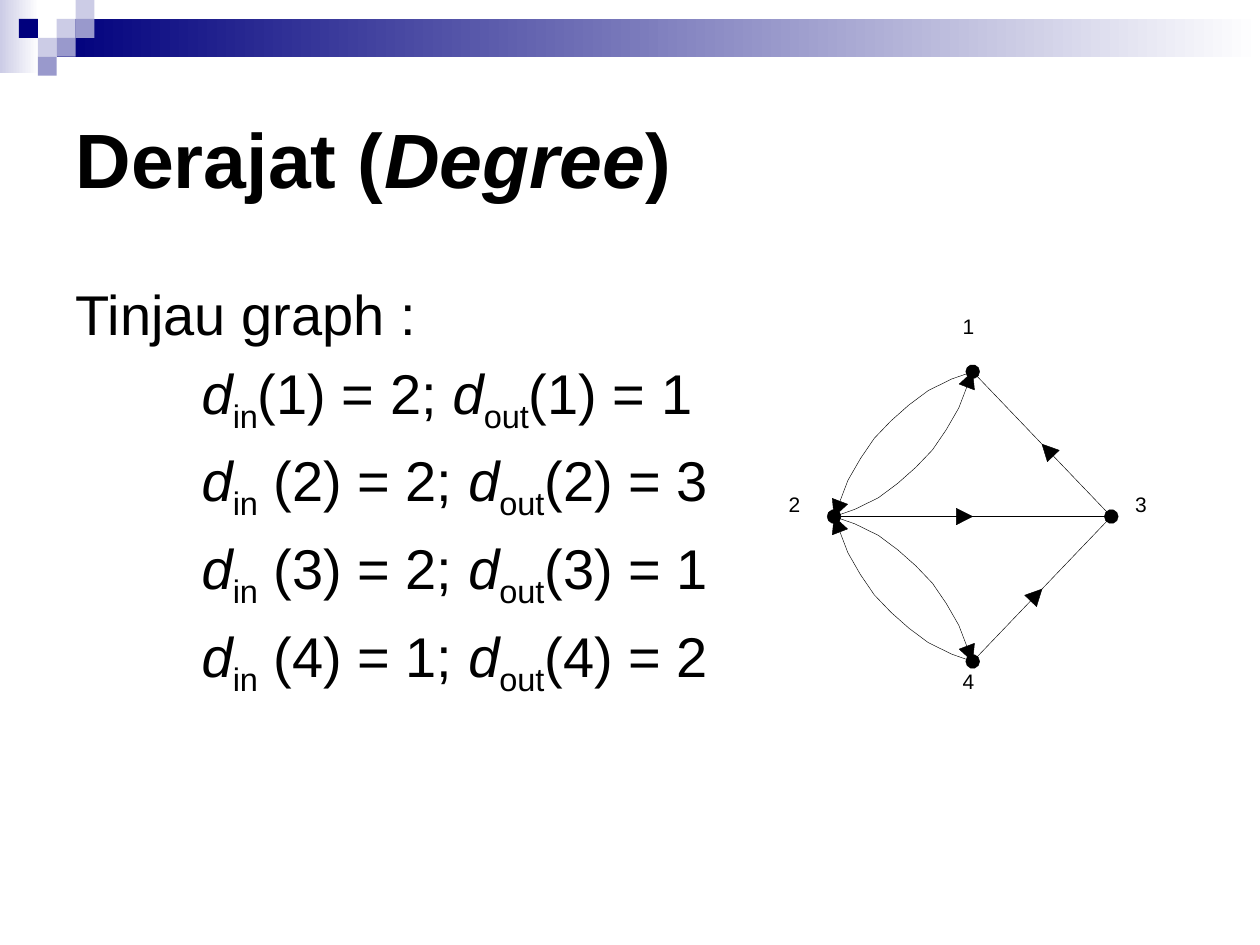
from math import cos, hypot, pi, sin

from pptx import Presentation
from pptx.dml.color import RGBColor
from pptx.enum.shapes import MSO_CONNECTOR as CONN, MSO_SHAPE as SHAPE
from pptx.enum.text import MSO_ANCHOR as ANCHOR, MSO_AUTO_SIZE as AUTO, PP_ALIGN as ALIGN
from pptx.oxml.ns import qn
from pptx.util import Inches, Pt

WIDTH, HEIGHT, CELL = 10, 7.5, 0.15
NAVY, LILAC, PALE, WHITE, BLACK = "00007D", "9999CC", "CCCCE6", "FFFFFF", "000000"
CENTER_X, CENTER_Y, RADIUS_X, RADIUS_Y = 7.72, 4.1, 1.1, 1.15
BANDS = [(0, 0, 0.31, 0.58, PALE), (0.45, 0.15, 9.55, 0.3, NAVY)]
SQUARES = [(3, 1, PALE), (4, 0, PALE), (4, 1, LILAC), (2, 2, PALE),
           (1, 1, NAVY), (3, 2, LILAC), (2, 3, LILAC)]
NODES = {"1": (0, -1), "2": (-1, 0), "3": (1, 0), "4": (0, 1)}
LABEL_OFFSETS = {"1": (-0.08, -0.46), "2": (-0.36, -0.2),
                 "3": (0.19, -0.2), "4": (-0.08, 0.06)}
STRAIGHT_EDGES = ["31", "43", "23"]
ARC = [(0, -1), (-0.15, -0.95), (-0.32, -0.87), (-0.46, -0.77), (-0.59, -0.66),
       (-0.71, -0.54), (-0.81, -0.4), (-0.9, -0.25), (-0.96, -0.1)]
DEGREES = [("(1) = 2; ", "(1) = 1"), (" (2) = 2; ", "(2) = 3"),
           (" (3) = 2; ", "(3) = 1"), (" (4) = 1; ", "(4) = 2")]


def rgb(value):
    """Turn a hex string into a colour."""
    return RGBColor.from_string(value)


def graph_point(unit):
    """Place a point given in graph radii on the slide, in inches."""
    return CENTER_X + unit[0] * RADIUS_X, CENTER_Y + unit[1] * RADIUS_Y


def place(sp, left, top, width, height):
    """Set a shape's position and size in inches."""
    for name, value in dict(left=left, top=top, width=width, height=height).items():
        setattr(sp, name, Inches(value))


def add_rect(s, left, top, width, height, color, fade=False):
    """Add a borderless rectangle, solid or fading to white."""
    sp = s.shapes.add_shape(SHAPE.RECTANGLE, *map(Inches, (left, top, width, height)))
    sp.shadow.inherit = False
    sp.line.fill.background()
    if fade:
        sp.fill.gradient()
        sp.fill.gradient_angle = 0
        for stop, (position, shade) in zip(sp.fill.gradient_stops, [(0, color), (1, WHITE)]):
            stop.position, stop.color.rgb = position, rgb(shade)
    else:
        sp.fill.solid()
        sp.fill.fore_color.rgb = rgb(color)


def add_outline(s, points, closed=True):
    """Draw a filled polygon or an open hairline through points in inches."""
    first, *rest = [(Inches(x), Inches(y)) for x, y in points]
    builder = s.shapes.build_freeform(*first)
    builder.add_line_segments(rest, close=closed)
    sp = builder.convert_to_shape()
    sp.shadow.inherit = False
    if closed:
        sp.fill.solid()
        sp.fill.fore_color.rgb = rgb(BLACK)
    else:
        sp.fill.background()
    sp.line.color.rgb, sp.line.width = rgb(BLACK), Pt(0.25)


def add_head(s, tip, back, length=0.13):
    """Add an arrowhead at tip, pointing away from back."""
    dx, dy = tip[0] - back[0], tip[1] - back[1]
    ux, uy = (d * length / hypot(dx, dy) for d in (dx, dy))
    base = [(tip[0] - ux + side * uy, tip[1] - uy - side * ux) for side in (-0.5, 0.5)]
    add_outline(s, [base[0], tip, base[1]])


def add_node(s, name, radius=0.055):
    """Add a ten-sided dot and its number."""
    x, y = graph_point(NODES[name])
    add_outline(s, [(x + radius * cos(k * pi / 5), y + radius * sin(k * pi / 5))
                    for k in range(10)])
    dx, dy = LABEL_OFFSETS[name]
    tf = s.shapes.add_textbox(*map(Inches, (x + dx, y + dy, 0.09, 0.2))).text_frame
    margins = dict.fromkeys(("margin_left", "margin_top", "margin_right", "margin_bottom"), 0)
    for key, value in dict(margins, word_wrap=False, auto_size=AUTO.SHAPE_TO_FIT_TEXT).items():
        setattr(tf, key, value)
    add_run(tf.paragraphs[0], name, 12)


def add_straight_edge(s, edge):
    """Join two nodes with an arrowhead halfway."""
    start, end = (graph_point(NODES[name]) for name in edge)
    line = s.shapes.add_connector(CONN.STRAIGHT, *map(Inches, start + end))
    line.line.color.rgb, line.line.width = rgb(BLACK), Pt(0.25)
    properties = line._element.spPr
    properties.append(properties.makeelement(qn("a:effectLst"), {}))
    add_head(s, tuple((a + b) / 2 for a, b in zip(start, end)), start)


def add_curved_edges(s):
    """Draw the arc, its half turn, and the mirror of both."""
    turned = [(-1 - u, -1 - v) for u, v in ARC]
    for arc, tip in ((ARC, (-1, 0)), (turned, (0, -1))):
        for flip in (1, -1):
            points = [graph_point((u, flip * v)) for u, v in arc]
            add_outline(s, points, closed=False)
            add_head(s, graph_point((tip[0], flip * tip[1])), points[-1])


def add_run(p, text, size, baseline=0, **formats):
    """Add a formatted run to a paragraph."""
    r = p.add_run()
    r.text = text
    for key, value in dict(name="Arial", size=Pt(size), **formats).items():
        setattr(r.font, key, value)
    r.font.color.rgb = rgb(BLACK)
    if baseline:
        r._r.get_or_add_rPr().set("baseline", str(baseline * 1000))


def add_title(s):
    """Fill the title placeholder."""
    sp = s.shapes.title
    place(sp, 0.05 * WIDTH, HEIGHT / 15, 0.9 * WIDTH, HEIGHT / 5)
    sp.text_frame.vertical_anchor = ANCHOR.MIDDLE
    p = sp.text_frame.paragraphs[0]
    p.alignment = ALIGN.LEFT
    for text, italic in (("Derajat (", False), ("Degree", True), (")", False)):
        add_run(p, text, 44, bold=True, italic=italic)


def format_line(p, indent, before):
    """Remove the bullet and set the left indent and the space before."""
    pPr = p._p.get_or_add_pPr()
    pPr.set("marL", str(Inches(indent)))
    pPr.set("indent", "0")
    pPr.append(pPr.makeelement(qn("a:buNone"), {}))
    p.space_before = Pt(before)


def add_body(s):
    """Fill the body placeholder with the degree of each node."""
    sp = s.placeholders[1]
    place(sp, 0.05 * WIDTH, 2.17, 0.9 * WIDTH, 4.25)
    tf = sp.text_frame
    tf.auto_size = AUTO.NONE
    p = tf.paragraphs[0]
    format_line(p, 0, 0)
    add_run(p, "Tinjau graph :", 32)
    for incoming, outgoing in DEGREES:
        p = tf.add_paragraph()
        format_line(p, 1, 6.4)
        for kind, value in (("in", incoming), ("out", outgoing)):
            add_run(p, "d", 32, italic=True)
            add_run(p, kind, 32, baseline=-25)
            add_run(p, value, 32)


def main():
    """Build the slide and save it."""
    prs = Presentation()
    prs.slide_width, prs.slide_height = Inches(WIDTH), Inches(HEIGHT)
    s = prs.slides.add_slide(prs.slide_layouts[1])
    for band in BANDS:
        add_rect(s, *band, fade=True)
    for col, row, color in SQUARES:
        add_rect(s, col * CELL, row * CELL, CELL, CELL, color)
    add_title(s)
    add_body(s)
    for name in NODES:
        add_node(s, name)
    add_curved_edges(s)
    for edge in STRAIGHT_EDGES:
        add_straight_edge(s, edge)
    prs.save("out.pptx")


if __name__ == "__main__":
    main()
